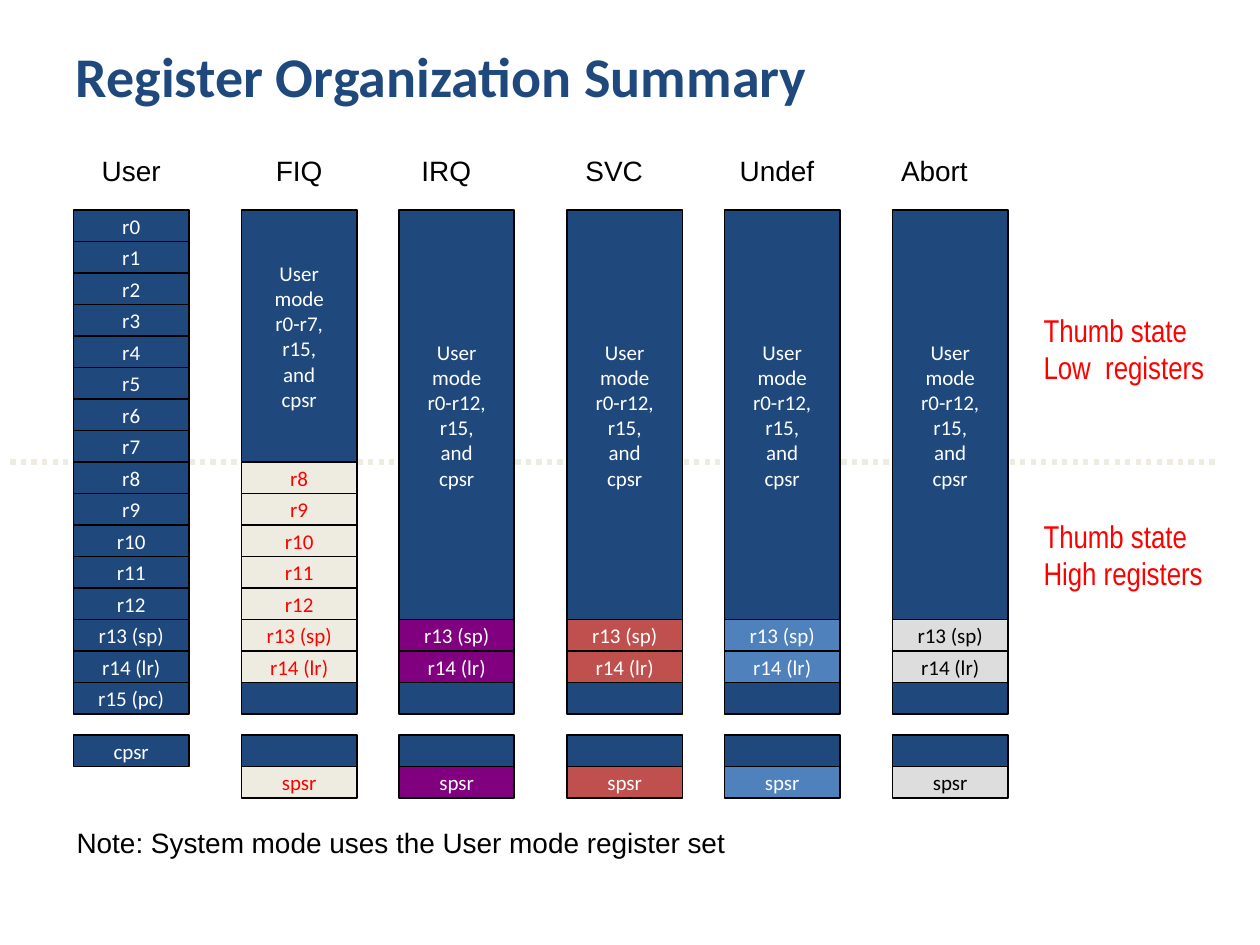
from dataclasses import dataclass

from lxml import etree
from pptx import Presentation
from pptx.dml.color import RGBColor
from pptx.enum.dml import MSO_LINE
from pptx.enum.shapes import MSO_CONNECTOR, MSO_SHAPE
from pptx.enum.text import MSO_ANCHOR, PP_ALIGN
from pptx.oxml.ns import qn
from pptx.util import Pt

LEFT, CENTER = PP_ALIGN.LEFT, PP_ALIGN.CENTER
TOP, MIDDLE = MSO_ANCHOR.TOP, MSO_ANCHOR.MIDDLE
RECT, STRAIGHT, DOTS = MSO_SHAPE.RECTANGLE, MSO_CONNECTOR.STRAIGHT, MSO_LINE.ROUND_DOT


@dataclass(frozen=True)
class Theme:
    navy: str = "1F497D"
    cream: str = "EEECE1"
    purple: str = "800080"
    brick: str = "C0504D"
    blue: str = "4F81BD"
    gray: str = "DDDDDD"
    red: str = "FF0000"
    white: str = "FFFFFF"
    black: str = "000000"
    body_font: str = "Calibri"
    label_font: str = "Arial"
    state_font: str = "Arial Narrow"
    title_size: int = 32
    state_size: int = 18
    label_size: int = 16
    cell_size: int = 12


T = Theme()

# Content
TITLE = "Register Organization Summary"
NOTE = "Note: System mode uses the User mode register set"
REGISTERS = [f"r{i}" for i in range(13)] + ["r13 (sp)", "r14 (lr)", "r15 (pc)"]
# name, column left, label left, label width, first banked register, fill, text colour
MODES = [
    ("User", 70, 70, 110, 0, T.navy, T.white),
    ("FIQ", 230, 230, 110, 8, T.cream, T.red),
    ("IRQ", 380, 370, 110, 13, T.purple, T.white),
    ("SVC", 540, 530, 110, 13, T.brick, T.white),
    ("Undef", 690, 680, 120, 13, T.blue, T.white),
    ("Abort", 850, 830, 120, 13, T.gray, T.black),
]
STATES = [("Thumb state\nLow  registers", 290), ("Thumb state\nHigh registers", 486)]

# Layout, 120 px to the inch
EMU_PER_PX = 7620
CELL_W, CELL_H = 110, 30
GRID_TOP, STATUS_TOP = 200, 700
PC_ROW = 15


def px(*lengths):
    return [n * EMU_PER_PX for n in lengths]


def write(shape, text, size, font, color, bold=False, align=CENTER, anchor=MIDDLE,
          wrap=True, inset=(12, 6)):
    """Fill a shape with text: \\n starts a paragraph, \\v breaks a line."""
    tf = shape.text_frame
    tf.text = text
    tf.word_wrap = wrap
    tf.vertical_anchor = anchor
    tf.margin_left = tf.margin_right = px(inset[0])[0]
    tf.margin_top = tf.margin_bottom = px(inset[1])[0]
    for p in tf.paragraphs:
        p.alignment = align
        for br in p._p.findall(qn("a:br")):
            etree.SubElement(br, qn("a:rPr")).set("sz", str(size * 100))
        for r in p.runs:
            r.font.size = Pt(size)
            r.font.name = font
            r.font.bold = bold
            r.font.color.rgb = RGBColor.from_string(color)


def add_text(s, box, text, **fmt):
    write(s.shapes.add_textbox(*px(*box)), text, **fmt)


def add_cell(s, x, y, fill, text="", color=T.white, rows=1):
    cell = s.shapes.add_shape(RECT, *px(x, y, CELL_W, rows * CELL_H))
    cell.shadow.inherit = False
    cell.fill.solid()
    cell.fill.fore_color.rgb = RGBColor.from_string(fill)
    cell.line.color.rgb = RGBColor.from_string(T.black)
    cell.line.width = Pt(1)
    if text:
        write(cell, text, T.cell_size, T.body_font, color, wrap=False)


def add_mode(s, name, x, label_x, label_w, first, fill, color):
    add_text(s, (label_x, 140, label_w, 44), name, size=T.label_size,
             font=T.label_font, color=T.black, inset=(13, 6))
    if first:
        shared = f"User\vmode\vr0-r{first - 1},\vr15,\vand\vcpsr"
        add_cell(s, x, GRID_TOP, T.navy, shared, rows=first)
    for row in range(first, PC_ROW):
        add_cell(s, x, GRID_TOP + row * CELL_H, fill, REGISTERS[row], color)
    add_cell(s, x, GRID_TOP + PC_ROW * CELL_H, T.navy, "" if first else REGISTERS[PC_ROW])
    add_cell(s, x, STATUS_TOP, T.navy, "" if first else "cpsr")
    if first:
        add_cell(s, x, STATUS_TOP + CELL_H, fill, "spsr", color)


def add_divider(s):
    y = GRID_TOP + 8 * CELL_H
    line = s.shapes.add_connector(STRAIGHT, *px(10, y, 1160, y))
    line.line.color.rgb = RGBColor.from_string(T.cream)
    line.line.width = Pt(3)
    line.line.dash_style = DOTS
    etree.SubElement(line._element.spPr, qn("a:effectLst"))


def main():
    prs = Presentation()
    prs.slide_width, prs.slide_height = px(1200, 900)
    s = prs.slides.add_slide(prs.slide_layouts[5])
    title = s.shapes.title
    title.left, title.top, title.width, title.height = px(60, 20, 1080, 104)
    write(title, TITLE, T.title_size, T.body_font, T.navy, bold=True, align=LEFT)
    add_divider(s)
    for mode in MODES:
        add_mode(s, *mode)
    for text, y in STATES:
        add_text(s, (982, y, 212, 85), text, size=T.state_size, font=T.state_font,
                 color=T.red, align=LEFT, anchor=TOP)
    add_text(s, (60, 780, 910, 44), NOTE, size=T.label_size, font=T.label_font,
             color=T.black, align=LEFT, inset=(13, 6))
    prs.save("out.pptx")


if __name__ == "__main__":
    main()
